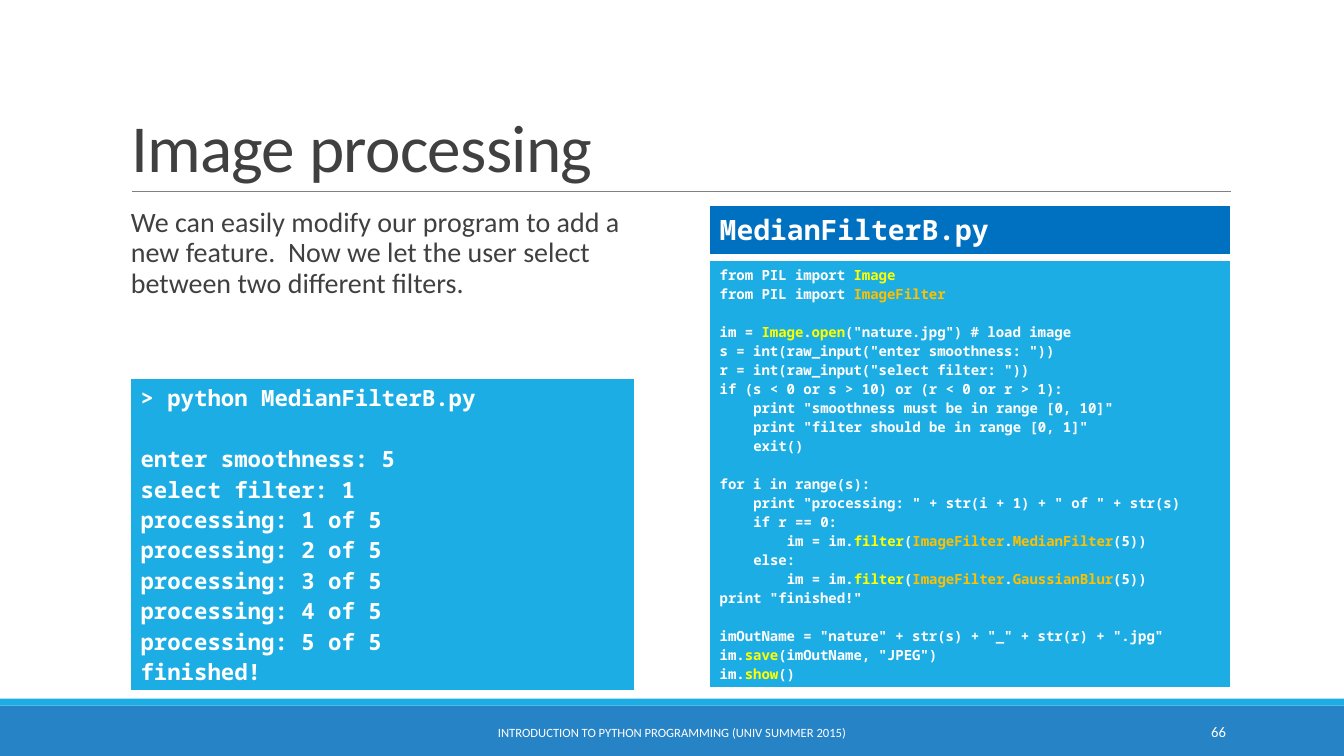
from lxml import etree
from pptx import Presentation
from pptx.dml.color import RGBColor
from pptx.enum import shapes, text
from pptx.oxml import ns
from pptx.util import Pt

SANS, MONO = "Calibri", "Noto Sans Mono"
WHITE, DARK, GRAY = "FFFFFF", "404040", "808080"
SKY, BLUE, NAVY = "1CADE4", "2683C6", "0070C0"
YELLOW, ORANGE = "FFFF00", "FFC000"
CLASSES = {"ImageFilter", "MedianFilter", "GaussianBlur"}
TAB = 24  # one code indent: four characters at 10 pt

# Names between backticks are highlighted.
CODE = """from PIL import `Image`
from PIL import `ImageFilter`

im = `Image`.`open`("nature.jpg") # load image
s = int(raw_input("enter smoothness: "))
r = int(raw_input("select filter: "))
if (s < 0 or s > 10) or (r < 0 or r > 1):
    print "smoothness must be in range [0, 10]"
    print "filter should be in range [0, 1]"
    exit()

for i in range(s):
    print "processing: " + str(i + 1) + " of " + str(s)
    if r == 0:
        im = im.`filter`(`ImageFilter`.`MedianFilter`(5))
    else:
        im = im.`filter`(`ImageFilter`.`GaussianBlur`(5))
print "finished!"

imOutName = "nature" + str(s) + "_" + str(r) + ".jpg"
im.`save`(imOutName, "JPEG")
im.`show`()"""

STEPS = "\n".join(f"processing: {n} of 5" for n in range(1, 6))
OUTPUT = f"""> python MedianFilterB.py

enter smoothness: 5
select filter: 1
{STEPS}
finished!"""


def rgb(code):
    return RGBColor.from_string(code)


def write(para, words, size, color, font=SANS, bold=False, align=None,
          line=None, track=None):
    """Add one formatted run to a paragraph."""
    if align is not None:
        para.alignment = align
    if line:
        para.line_spacing = line
    run = para.add_run()
    run.text = words
    run.font.size, run.font.name, run.font.bold = Pt(size), font, bold
    run.font.color.rgb = rgb(color)
    if track:
        run.font._element.set("spc", str(round(track * 100)))


def listing(frame, code, size):
    """Write code lines; an empty line becomes space before the next one."""
    para, gap = frame.paragraphs[0], 0
    for num, row in enumerate(code.split("\n")):
        if not row:
            gap = size * 1.36
            continue
        if num:
            para = frame.add_paragraph()
        para.space_before, gap = Pt(gap), 0
        bare = row.lstrip()
        depth = (len(row) - len(bare)) // 4
        if depth:
            para._p.get_or_add_pPr().set("marL", str(Pt(depth * TAB)))
        for spot, part in enumerate(bare.split("`")):
            name = ORANGE if part in CLASSES else YELLOW
            if part:
                write(para, part, size, name if spot % 2 else WHITE,
                      font=MONO, bold=True)


class Page:
    """Holds the current slide and draws its elements in one style."""

    def __init__(self, deck):
        self.slide = deck.slides.add_slide(deck.slide_layouts[5])
        self.items = self.slide.shapes

    def bar(self, x, y, w, h, color):
        box = self.items.add_shape(shapes.MSO_SHAPE.RECTANGLE,
                                   Pt(x), Pt(y), Pt(w), Pt(h))
        box.shadow.inherit = False
        box.fill.solid()
        box.fill.fore_color.rgb = rgb(color)
        box.line.fill.background()

    def rule(self, x, y, end, color):
        line = self.items.add_connector(shapes.MSO_CONNECTOR.STRAIGHT,
                                        Pt(x), Pt(y), Pt(end), Pt(y))
        line.line.width = Pt(0.5)
        line.line.color.rgb = rgb(color)
        etree.SubElement(line._element.spPr, ns.qn("a:effectLst"))

    def title(self, x, y, w, h, words):
        box = self.items.title
        box.left, box.top, box.width, box.height = Pt(x), Pt(y), Pt(w), Pt(h)
        frame = box.text_frame
        frame.auto_size = text.MSO_AUTO_SIZE.NONE
        frame.vertical_anchor = text.MSO_ANCHOR.BOTTOM
        write(frame.paragraphs[0], words, 48, DARK,
              align=text.PP_ALIGN.LEFT, line=0.85, track=-0.5)

    def label(self, x, y, w, h, words, size, color,
              anchor=text.MSO_ANCHOR.MIDDLE, **style):
        frame = self.items.add_textbox(Pt(x), Pt(y), Pt(w), Pt(h)).text_frame
        frame.word_wrap = True
        frame.vertical_anchor = anchor
        write(frame.paragraphs[0], words, size, color, **style)
        return frame

    def panel(self, x, y, w, h, code, size, color):
        """Add a one-cell table with white borders that holds code."""
        table = self.items.add_table(1, 1, Pt(x), Pt(y), Pt(w), Pt(h)).table
        table.first_row = table.horz_banding = False
        cell = table.cell(0, 0)
        props = cell._tc.get_or_add_tcPr()
        for side, width in (("L", 1), ("R", 1), ("T", 1), ("B", 3)):
            edge = etree.SubElement(props, ns.qn(f"a:ln{side}"),
                                    w=str(Pt(width)))
            fill = etree.SubElement(edge, ns.qn("a:solidFill"))
            etree.SubElement(fill, ns.qn("a:srgbClr"), val=WHITE)
        cell.fill.solid()
        cell.fill.fore_color.rgb = rgb(color)
        listing(cell.text_frame, code, size)


def main():
    deck = Presentation()
    deck.slide_width, deck.slide_height = Pt(960), Pt(540)
    page = Page(deck)

    page.bar(0, 504, 960, 36, BLUE)
    page.bar(0, 499, 960, 5, SKY)
    page.rule(94.3, 136.8, 879, GRAY)
    page.title(86.4, 22.3, 792, 114.5, "Image processing")

    intro = page.label(
        86.4, 145.4, 366.5, 316.8,
        "We can easily modify our program to add a new feature.  "
        "Now we let the user select between two different filters.",
        20, DARK, anchor=text.MSO_ANCHOR.TOP, line=0.9)
    intro.margin_left, intro.margin_right = Pt(7.2), 0

    page.panel(506.9, 186, 372.2, 306, CODE, 10, SKY)
    page.panel(93.2, 270, 360, 224, OUTPUT, 16, SKY)
    page.panel(506.9, 146.9, 372.2, 36, "MedianFilterB.py", 20, NAVY)

    page.label(779.8, 508.5, 103, 28.8, "66", 10.5, WHITE,
               align=text.PP_ALIGN.RIGHT)
    page.label(290.2, 508.5, 379.4, 28.8,
               "INTRODUCTION TO PYTHON PROGRAMMING (UNIV SUMMER 2015)",
               9, WHITE, align=text.PP_ALIGN.CENTER)
    deck.save("out.pptx")


if __name__ == "__main__":
    main()
